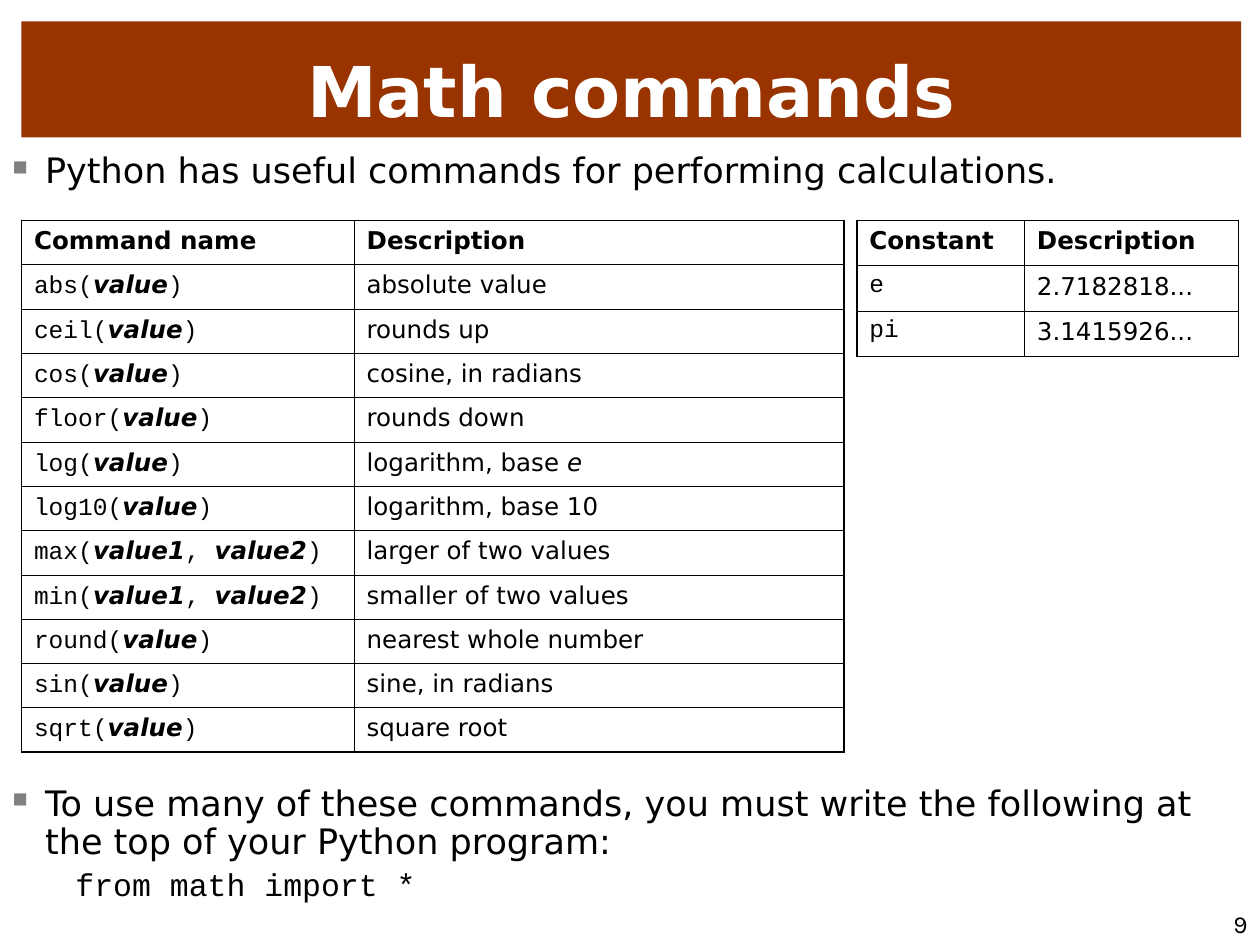
import dataclasses

import lxml.etree
import pptx
import pptx.dml.color
import pptx.enum.text
import pptx.oxml.ns
import pptx.util

Inches, Pt = pptx.util.Inches, pptx.util.Pt
ALIGN = pptx.enum.text.PP_ALIGN
ANCHOR = pptx.enum.text.MSO_ANCHOR


@dataclasses.dataclass(frozen=True)
class Theme:
    sans: str = "DejaVu Sans"
    mono: str = "Courier New"
    number_font: str = "Karla"
    ink: str = "000000"
    paper: str = "FFFFFF"
    banner: str = "993300"
    bullet: str = "808080"
    title_size: float = 40
    body_size: float = 20
    code_size: float = 18
    cell_size: float = 14
    thick: float = 1.08
    thin: float = 0.45


def rgb(value):
    return pptx.dml.color.RGBColor.from_string(value)


def add_run(p, text, *, font, size, color, bold=False, italic=False):
    r = p.add_run()
    r.text = text
    r.font.name, r.font.size = font, Pt(size)
    r.font.bold, r.font.italic = bold, italic
    r.font.color.rgb = rgb(color)


def add_element(parent, tag, **attributes):
    return lxml.etree.SubElement(parent, pptx.oxml.ns.qn(tag), attributes)


def indent(p, left, first):
    pPr = p._p.get_or_add_pPr()
    pPr.set("marL", str(Inches(left)))
    pPr.set("indent", str(Inches(first)))
    return pPr


def set_border(cell, index, side, width, color):
    """Put one edge line at its required position ahead of the cell's fill."""
    tcPr = cell._tc.get_or_add_tcPr()
    ln = add_element(tcPr, f"a:ln{side}", w=str(Pt(width)))
    add_element(add_element(ln, "a:solidFill"), "a:srgbClr", val=color)
    tcPr.insert(index, ln)


class SlideBuilder:
    def __init__(self, slide, theme):
        self.slide, self.theme = slide, theme

    def title(self, text, left, top, width, height):
        t, sp = self.theme, self.slide.shapes.title
        sp.left, sp.top = Inches(left), Inches(top)
        sp.width, sp.height = Inches(width), Inches(height)
        sp.fill.solid()
        sp.fill.fore_color.rgb = rgb(t.banner)
        tf = sp.text_frame
        tf.auto_size = pptx.enum.text.MSO_AUTO_SIZE.NONE
        tf.vertical_anchor = ANCHOR.BOTTOM
        p = tf.paragraphs[0]
        p.alignment = ALIGN.CENTER
        add_run(p, text, font=t.sans, size=t.title_size, color=t.paper, bold=True)

    def text_box(self, left, top, width, height, anchor=ANCHOR.TOP):
        sp = self.slide.shapes.add_textbox(
            Inches(left), Inches(top), Inches(width), Inches(height))
        tf = sp.text_frame
        tf.word_wrap = True
        tf.vertical_anchor = anchor
        return tf

    def bullet(self, text, top, height, code=None):
        """Add a bulleted statement, with an indented line of code below if given."""
        t = self.theme
        tf = self.text_box(0, top, 10, height)
        p = tf.paragraphs[0]
        p.line_spacing, p.space_before = 0.9, Pt(5)
        pPr = indent(p, 0.26, -0.26)
        add_element(add_element(pPr, "a:buClr"), "a:srgbClr", val=t.bullet)
        add_element(pPr, "a:buSzPct", val="60000")
        add_element(pPr, "a:buChar", char="■")
        add_run(p, text, font=t.sans, size=t.body_size, color=t.ink)
        if code:
            p = tf.add_paragraph()
            p.line_spacing, p.space_before = 0.9, Pt(4.5)
            indent(p, 0.76, -0.26)
            add_run(p, code, font=t.mono, size=t.code_size, color=t.ink)

    def page_number(self, text):
        t = self.theme
        p = self.text_box(8.5, 7, 1.5, 0.5, ANCHOR.BOTTOM).paragraphs[0]
        p.alignment = ALIGN.RIGHT
        add_run(p, text, font=t.number_font, size=t.cell_size, color=t.ink)

    def table(self, rows, left, top, widths, height):
        """Each cell is a list of (text, format) runs."""
        t = self.theme
        table = self.slide.shapes.add_table(
            len(rows), len(widths), Inches(left), Inches(top),
            Inches(sum(widths)), Inches(height)).table
        table.first_row = table.horz_banding = False
        for column, width in zip(table.columns, widths):
            column.width = Inches(width)
        for i, row in enumerate(rows):
            for j, runs in enumerate(row):
                cell = table.cell(i, j)
                cell.fill.background()
                outer = {"L": j == 0, "R": j == len(widths) - 1,
                         "T": i == 0, "B": i == len(rows) - 1}
                for k, (side, is_outer) in enumerate(outer.items()):
                    set_border(cell, k, side, t.thick if is_outer else t.thin, t.ink)
                p = cell.text_frame.paragraphs[0]
                p.space_before = Pt(3.5)
                for text, fmt in runs:
                    add_run(p, text, size=t.cell_size, color=t.ink, **fmt)


def command_runs(name, parameters, code, parameter):
    """Runs for a call such as max(value1, value2), parameters emphasised."""
    runs = [(name + "(", code)]
    for i, word in enumerate(parameters):
        if i:
            runs.append((", ", code))
        runs.append((word, parameter))
    return runs + [(")", code)]


def main():
    theme = Theme()
    prs = pptx.Presentation()
    prs.slide_width, prs.slide_height = Inches(10), Inches(7.5)
    s = SlideBuilder(prs.slides.add_slide(prs.slide_layouts[5]), theme)

    plain = {"font": theme.sans}
    code = {"font": theme.mono}
    header = plain | {"bold": True}
    italic = plain | {"italic": True}
    parameter = header | italic

    one, two = ["value"], ["value1", "value2"]
    commands = [
        ("abs", one, "absolute value"),
        ("ceil", one, "rounds up"),
        ("cos", one, "cosine, in radians"),
        ("floor", one, "rounds down"),
        ("log", one, "logarithm, base ", "e"),
        ("log10", one, "logarithm, base 10"),
        ("max", two, "larger of two values"),
        ("min", two, "smaller of two values"),
        ("round", one, "nearest whole number"),
        ("sin", one, "sine, in radians"),
        ("sqrt", one, "square root"),
    ]
    constants = [("e", "2.7182818..."), ("pi", "3.1415926...")]

    command_rows = [[[("Command name", header)], [("Description", header)]]]
    for name, parameters, description, *symbol in commands:
        command_rows.append([
            command_runs(name, parameters, code, parameter),
            [(description, plain)] + [(text, italic) for text in symbol]])
    constant_rows = [[[("Constant", header)], [("Description", header)]]]
    constant_rows += [[[(name, code)], [(value, plain)]] for name, value in constants]

    s.page_number("9")
    s.title("Math commands", 0.17, 0.17, 9.68, 0.92)
    s.bullet("Python has useful commands for performing calculations.", 1.17, 0.45)
    s.bullet("To use many of these commands, you must write the following "
             "at the top of your Python program:", 6.19, 1.06,
             code="from math import *")
    s.table(command_rows, 0.17, 1.75, [2.64, 3.89], 4.22)
    s.table(constant_rows, 6.8, 1.75, [1.33, 1.7], 1.08)
    prs.save("out.pptx")


if __name__ == "__main__":
    main()
